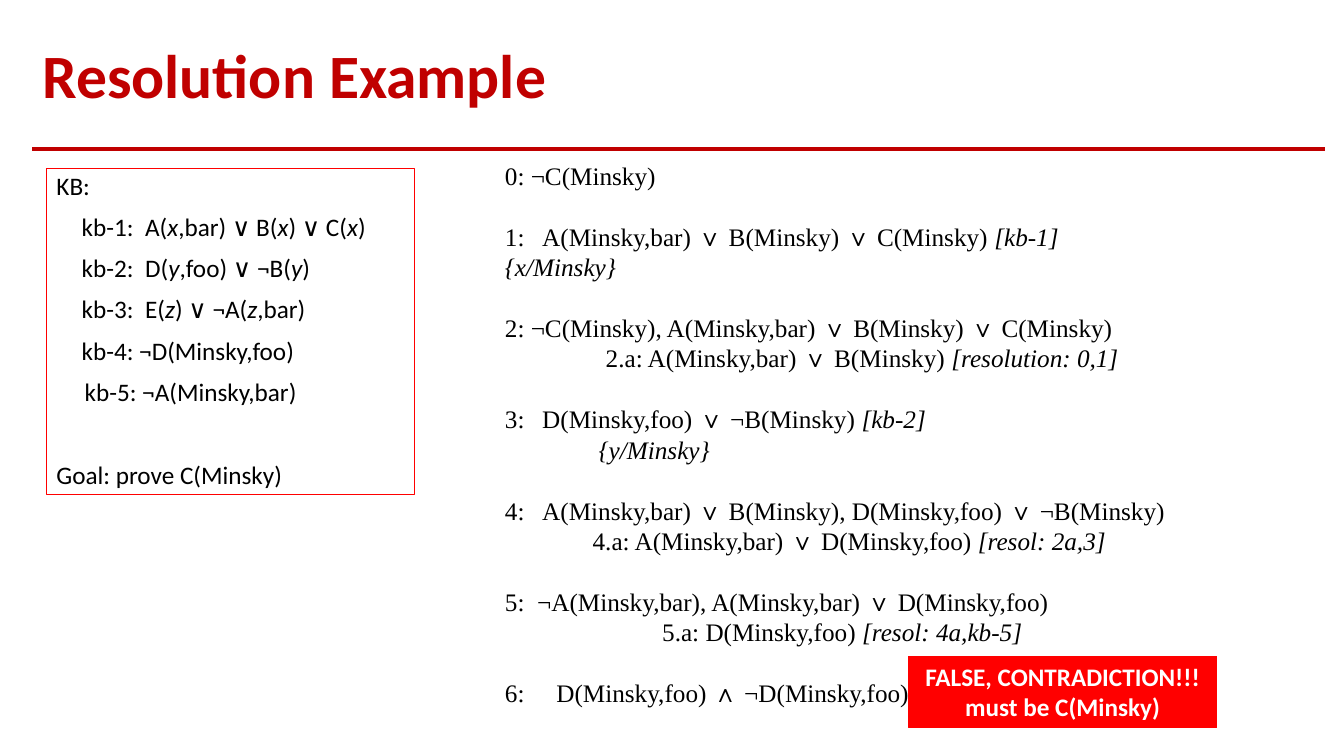
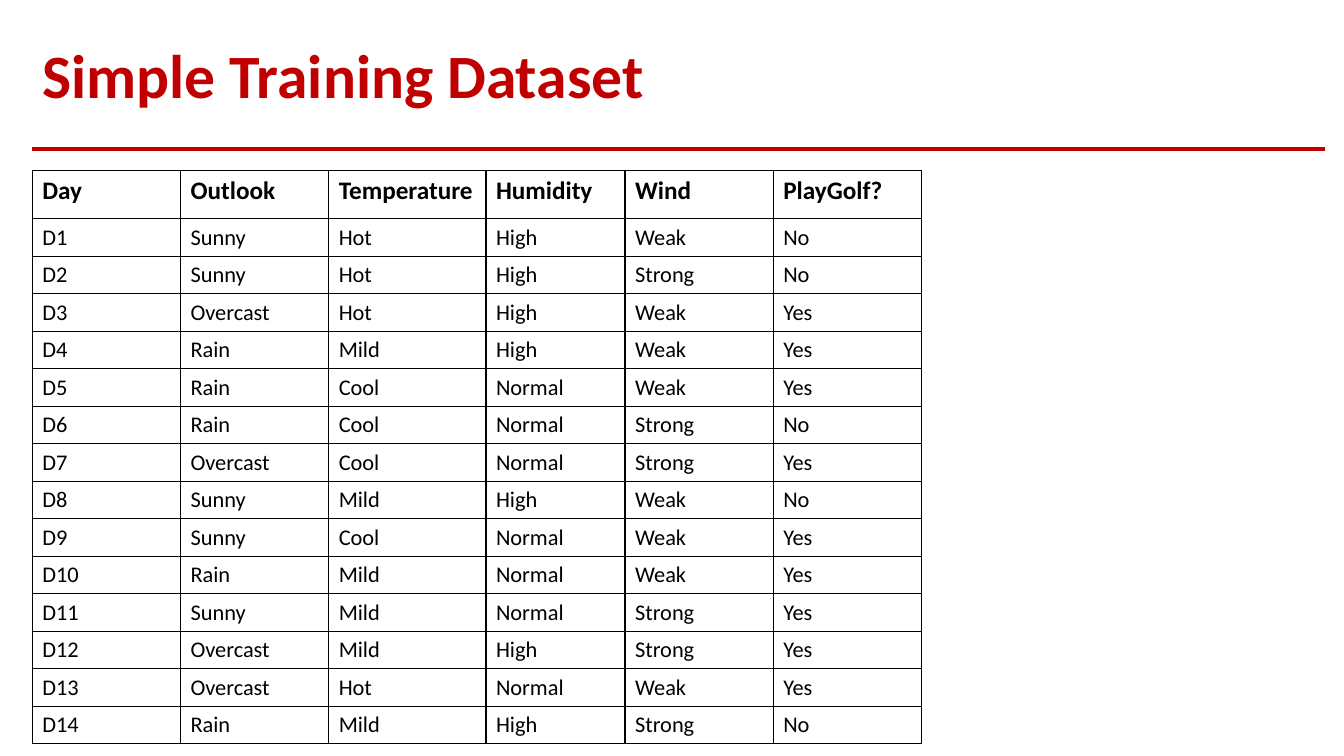
"""Build two lecture slides: a resolution proof and a training dataset."""
from dataclasses import dataclass

from lxml.etree import SubElement
from pptx import Presentation
from pptx.dml.color import RGBColor as Rgb
from pptx.enum.shapes import MSO_CONNECTOR as Connector, MSO_SHAPE as Shape
from pptx.enum.shapes import PP_PLACEHOLDER as Placeholder
from pptx.enum.text import MSO_ANCHOR as Anchor, MSO_AUTO_SIZE as AutoSize, PP_ALIGN as Align
from pptx.oxml.ns import qn
from pptx.util import Inches, Pt


@dataclass(frozen=True)
class Theme:
    accent: str = "C00000"
    alert: str = "FF0000"
    ink: str = "000000"
    paper: str = "FFFFFF"
    sans: str = "Calibri"
    serif: str = "Times New Roman"
    title: int = 44
    text: int = 18
    cell: int = 16


theme = Theme()
deck = Presentation()
deck.slide_width, deck.slide_height = Inches(13.33), Inches(7.5)
COL, ROW = deck.slide_width / 100, deck.slide_height / 100
LEFT, WIDTH = 2.4, 96.17


def area(left, top, width, height):
    """Turn percentages of the slide into lengths."""
    return round(left * COL), round(top * ROW), round(width * COL), round(height * ROW)


def write(frame, lines, face=theme.sans, color=theme.ink, size=theme.text, bold=False):
    """Fill a frame with (space before, margin, hanging, text) lines; *marks* are italic."""
    for number, (before, margin, hanging, text) in enumerate(lines):
        paragraph = frame.add_paragraph() if number else frame.paragraphs[0]
        layout = paragraph._p.get_or_add_pPr()
        layout.set("marL", str(Inches(margin)))
        layout.set("indent", str(-Inches(hanging)))
        SubElement(layout, qn("a:buNone"))
        paragraph.space_before = Pt(before)
        for part, words in enumerate(text.split("*")):
            if words:
                run = paragraph.add_run()
                run.text = words
                run.font.name, run.font.size = face, Pt(size)
                run.font.bold, run.font.italic = bold, part % 2 == 1
                run.font.color.rgb = Rgb.from_string(color)


master = deck.slide_master
heading = master.placeholders.get(Placeholder.TITLE)
heading.left, heading.top, heading.width, heading.height = area(LEFT, 3.73, WIDTH, 13.33)
heading.text_frame.vertical_anchor = Anchor.MIDDLE
heading_style = master.element.find(f".//{qn('p:titleStyle')}/{qn('a:lvl1pPr')}")
heading_style.set("algn", "l")
spacing = SubElement(heading_style, qn("a:lnSpc"))
SubElement(spacing, qn("a:spcPct"), val="90000")
heading_style.insert(0, spacing)
heading_font = heading_style.find(qn("a:defRPr"))
heading_font.set("sz", str(theme.title * 100))
heading_font.set("b", "1")
heading_fill = heading_font.find(qn("a:solidFill"))
heading_fill.clear()
SubElement(heading_fill, qn("a:srgbClr"), val=theme.accent)
heading_font.find(qn("a:latin")).set("typeface", theme.sans)

proof_slide = deck.slides.add_slide(deck.slide_layouts[1])
data_slide = deck.slides.add_slide(deck.slide_layouts[5])
proof_slide.shapes.title.text_frame.text = "Resolution Example"
data_slide.shapes.title.text_frame.text = "Simple Training Dataset"

rule_left, rule_top, rule_width, _ = area(LEFT, 19.73, WIDTH, 0)
rule = proof_slide.shapes.add_connector(
    Connector.STRAIGHT, rule_left, rule_top, rule_left + rule_width, rule_top)
rule.line.color.rgb = Rgb.from_string(theme.accent)
rule.line.width = Pt(2.5)
SubElement(rule.element.spPr, qn("a:effectLst"))
master.shapes.element.append(rule.element)

knowledge = proof_slide.placeholders[1]
knowledge.left, knowledge.top, knowledge.width, knowledge.height = area(3.45, 22.27, 27.38, 43.2)
knowledge.line.color.rgb = Rgb.from_string(theme.alert)
knowledge.line.width = Pt(0.75)
knowledge.text_frame.auto_size = AutoSize.NONE
write(knowledge.text_frame, [
    (0, 0, 0, "KB:"),
    (10, 0.88, 0.63, "kb-1:\tA(*x*,bar) ∨ B(*x*) ∨ C(*x*)"),
    (10, 0.88, 0.63, "kb-2:\tD(*y*,foo) ∨ ¬B(*y*)"),
    (10, 0.88, 0.63, "kb-3:\tE(*z*) ∨ ¬A(*z*,bar)"),
    (10, 0.25, 0, "kb-4: ¬D(Minsky,foo)"),
    (10, 0.28, 0, "kb-5: ¬A(Minsky,bar)"),
    (40, 0, 0, "Goal: prove C(Minsky)"),
])
for paragraph in knowledge.text_frame.paragraphs:
    paragraph.line_spacing = 0.9

STEP = 22
proof = proof_slide.shapes.add_textbox(*area(36.83, 20.53, 53.71, 74)).text_frame
proof.word_wrap = True
write(proof, [
    (0, 0, 0, "0: ¬C(Minsky)"),
    (STEP, 0.37, 0.37, "1:\tA(Minsky,bar) ∨ B(Minsky) ∨ C(Minsky) *[kb-1]*"),
    (0, 0, 0, "*{x/Minsky}*"),
    (STEP, 0, 0, "2: ¬C(Minsky), A(Minsky,bar) ∨ B(Minsky) ∨ C(Minsky)"),
    (0, 1, 0, "2.a: A(Minsky,bar) ∨ B(Minsky) *[resolution: 0,1]*"),
    (STEP, 0.37, 0.37, "3:\tD(Minsky,foo) ∨ ¬B(Minsky) *[kb-2]*"),
    (0, 0.93, 0, "*{y/Minsky}*"),
    (STEP, 0.37, 0.37, "4:\tA(Minsky,bar) ∨ B(Minsky), D(Minsky,foo) ∨ ¬B(Minsky)"),
    (0, 0.87, 0, "4.a: A(Minsky,bar) ∨ D(Minsky,foo) *[resol: 2a,3]*"),
    (STEP, 0.32, 0.32, "5:\t¬A(Minsky,bar), A(Minsky,bar) ∨ D(Minsky,foo)"),
    (0, 1.56, 0, "5.a: D(Minsky,foo) *[resol: 4a,kb-5]*"),
    (STEP, 0.51, 0.51, "6:\tD(Minsky,foo) ∧ ¬D(Minsky,foo)"),
], face=theme.serif)

verdict = proof_slide.shapes.add_shape(Shape.RECTANGLE, *area(67.59, 86.8, 22.96, 9.47))
verdict.shadow.inherit = False
verdict.fill.solid()
verdict.fill.fore_color.rgb = Rgb.from_string(theme.alert)
verdict.line.color.rgb = Rgb.from_string(theme.alert)
verdict.line.width = Pt(0.75)
verdict.text_frame.word_wrap = True
verdict.text_frame.vertical_anchor = Anchor.TOP
write(verdict.text_frame, [
    (0, 0, 0, "FALSE, CONTRADICTION!!!"),
    (0, 0, 0, "must be C(Minsky)"),
], color=theme.paper, bold=True)
for paragraph in verdict.text_frame.paragraphs:
    paragraph.alignment = Align.CENTER

days = """Day Outlook Temperature Humidity Wind PlayGolf?
D1 Sunny Hot High Weak No
D2 Sunny Hot High Strong No
D3 Overcast Hot High Weak Yes
D4 Rain Mild High Weak Yes
D5 Rain Cool Normal Weak Yes
D6 Rain Cool Normal Strong No
D7 Overcast Cool Normal Strong Yes
D8 Sunny Mild High Weak No
D9 Sunny Cool Normal Weak Yes
D10 Rain Mild Normal Weak Yes
D11 Sunny Mild Normal Strong Yes
D12 Overcast Mild High Strong Yes
D13 Overcast Hot Normal Weak Yes
D14 Rain Mild High Strong No"""
records = [day.split() for day in days.splitlines()]
column_shares = [11.03, 11.03, 11.7, 10.35, 11.03, 11.03]
row_shares = [6.4] + [4.93] * (len(records) - 1)
dataset = data_slide.shapes.add_table(
    len(records), len(column_shares),
    *area(LEFT, 22.53, sum(column_shares), sum(row_shares))).table
dataset.first_row = dataset.horz_banding = False
for column, share in zip(dataset.columns, column_shares):
    column.width = round(share * COL)
for row, share, record in zip(dataset.rows, row_shares, records):
    row.height = round(share * ROW)
    header = record is records[0]
    for cell, value in zip(row.cells, record):
        write(cell.text_frame, [(0, 0, 0, value)],
              size=theme.text if header else theme.cell, bold=header)
        borders = cell._tc.get_or_add_tcPr()
        for side in ("a:lnL", "a:lnR", "a:lnT", "a:lnB"):
            border = SubElement(borders, qn(side), w=str(Pt(1)))
            ink = SubElement(border, qn("a:solidFill"))
            SubElement(ink, qn("a:srgbClr"), val=theme.ink)
        cell.fill.background()

deck.save("out.pptx")
